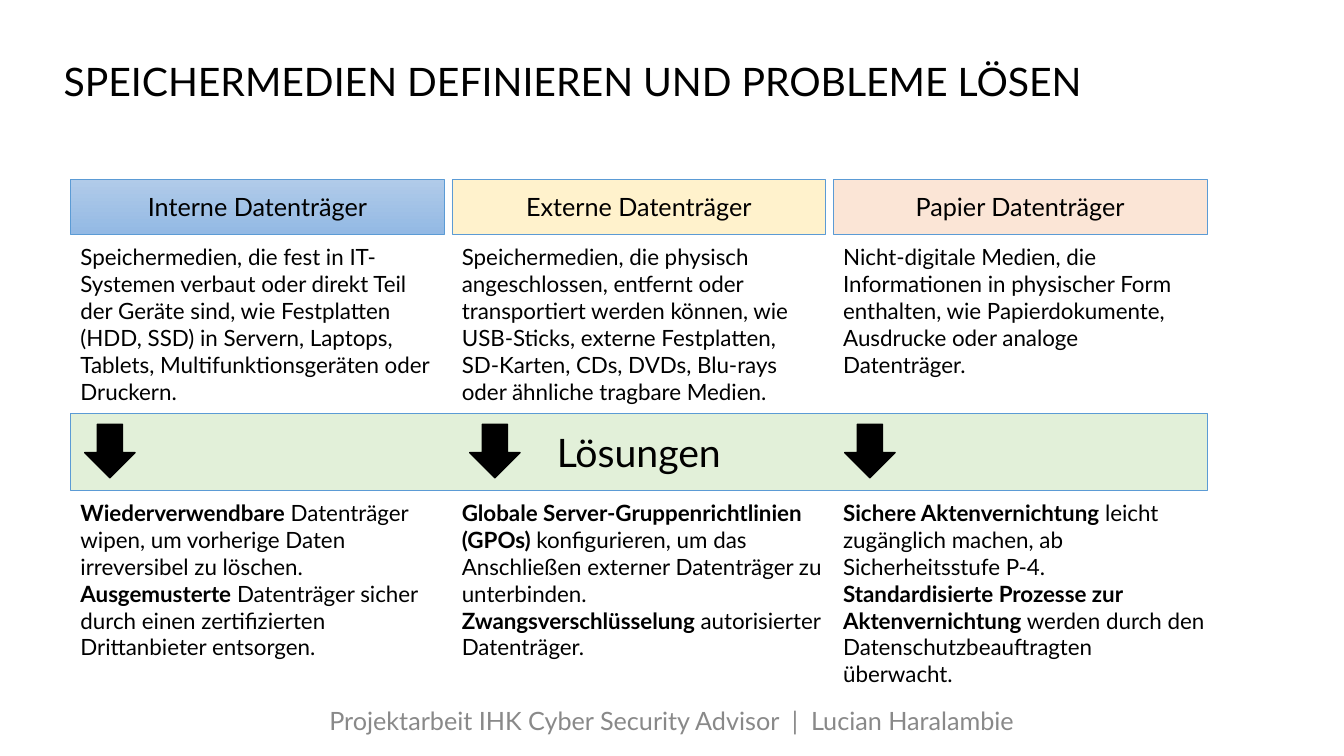
from pptx import Presentation
from pptx.dml.color import RGBColor
from pptx.enum import shapes, text
from pptx.util import Pt

TITLE = "SPEICHERMEDIEN DEFINIEREN UND PROBLEME LÖSEN"
BAND = "Lösungen"
FOOTER = "Projektarbeit IHK Cyber Security Advisor  |  Lucian Haralambie"
COLUMNS = [
    {
        "heading": "Interne Datenträger",
        "fill": ["B1CBE9", "93B9E4"],
        "definition": "Speichermedien, die fest in IT-Systemen verbaut oder direkt Teil "
        "der Geräte sind, wie Festplatten (HDD, SSD) in Servern, Laptops, Tablets, "
        "Multifunktionsgeräten oder Druckern.",
        "solutions": [
            ("Wiederverwendbare", " Datenträger wipen, um vorherige Daten irreversibel zu löschen."),
            ("Ausgemusterte", " Datenträger sicher durch einen zertifizierten Drittanbieter entsorgen."),
        ],
        "arrow_left": 60.5,
    },
    {
        "heading": "Externe Datenträger",
        "fill": ["FFF2CC"],
        "definition": "Speichermedien, die physisch angeschlossen, entfernt oder "
        "transportiert werden können, wie USB-Sticks, externe Festplatten, SD-Karten, "
        "CDs, DVDs, Blu-rays oder ähnliche tragbare Medien.",
        "solutions": [
            ("Globale Server-Gruppenrichtlinien (GPOs) ",
             "konfigurieren, um das Anschließen externer Datenträger zu unterbinden."),
            ("Zwangsverschlüsselung ", "autorisierter Datenträger."),
        ],
        "arrow_left": 335.5,
    },
    {
        "heading": "Papier Datenträger",
        "fill": ["FBE5D6"],
        "definition": "Nicht-digitale Medien, die Informationen in physischer Form "
        "enthalten, wie Papierdokumente, Ausdrucke oder analoge Datenträger.",
        "solutions": [
            ("Sichere Aktenvernichtung", " leicht zugänglich machen, ab Sicherheitsstufe P-4."),
            ("Standardisierte Prozesse zur Aktenvernichtung",
             " werden durch den Datenschutzbeauftragten überwacht."),
        ],
        "arrow_left": 603.4,
    },
]
THEME = {
    "font": "Lato", "ink": "000000", "muted": "898989", "outline": "5B9BD5", "band": "E2F0D9",
    "title": 28, "heading": 18, "body": 16,
}
LEFT, PITCH, WIDTH, SOLUTION_WIDTH = 50.4, 272.4, 267, 273.5


def write(box, paragraphs, size=THEME["body"], color=THEME["ink"],
          align=text.PP_ALIGN.LEFT, anchor=text.MSO_ANCHOR.TOP, spacing=1.0):
    frame = box.text_frame
    frame.word_wrap = True
    frame.vertical_anchor = anchor
    for index, spans in enumerate(paragraphs):
        para = frame.add_paragraph() if index else frame.paragraphs[0]
        para.alignment = align
        para.line_spacing = spacing
        for words, bold in spans:
            span = para.add_run()
            span.text = words
            span.font.name = THEME["font"]
            span.font.size = Pt(size)
            span.font.bold = bold
            span.font.color.rgb = RGBColor.from_string(color)


def add_text(page, bounds, paragraphs, **style):
    write(page.shapes.add_textbox(*map(Pt, bounds)), paragraphs, **style)


def add_block(page, kind, bounds, fill, outline=THEME["outline"], weight=0.5):
    block = page.shapes.add_shape(kind, *map(Pt, bounds))
    block.shadow.inherit = False
    block.line.color.rgb = RGBColor.from_string(outline)
    block.line.width = Pt(weight)
    if len(fill) == 1:
        block.fill.solid()
        block.fill.fore_color.rgb = RGBColor.from_string(fill[0])
    else:
        block.fill.gradient()
        block.fill.gradient_angle = 270
        for stop, color in zip(block.fill.gradient_stops, fill):
            stop.color.rgb = RGBColor.from_string(color)
    return block


def main():
    deck = Presentation()
    deck.slide_width, deck.slide_height = Pt(960), Pt(540)
    page = deck.slides.add_slide(deck.slide_layouts[5])
    rectangle = shapes.MSO_SHAPE.RECTANGLE
    centred = {"align": text.PP_ALIGN.CENTER, "anchor": text.MSO_ANCHOR.MIDDLE}

    title = page.shapes.title
    title.left, title.top, title.width, title.height = map(Pt, (38.2, 25.2, 778.3, 69.1))
    write(title, [[(TITLE, False)]], size=THEME["title"],
          anchor=text.MSO_ANCHOR.MIDDLE, spacing=0.9)
    add_text(page, (219.6, 500.4, 520.6, 28.8), [[(FOOTER, False)]],
             size=THEME["heading"], color=THEME["muted"], align=text.PP_ALIGN.CENTER)

    band_width = 2 * PITCH + WIDTH
    band = add_block(page, rectangle, (LEFT, 295.2, band_width, 55), [THEME["band"]])
    write(band, [[(BAND, False)]], size=THEME["title"], **centred)

    for index, column in enumerate(COLUMNS):
        left = LEFT + index * PITCH
        heading = add_block(page, rectangle, (left, 128.2, WIDTH, 38.9), column["fill"])
        write(heading, [[(column["heading"], False)]], size=THEME["heading"], **centred)
        add_text(page, (left, 170.4, WIDTH, 123.8), [[(column["definition"], False)]])
        add_text(page, (left, 353, SOLUTION_WIDTH, 123.8),
                 [[(lead, True), (rest, False)] for lead, rest in column["solutions"]])
        add_block(page, shapes.MSO_SHAPE.DOWN_ARROW, (column["arrow_left"], 303.1, 36, 38.2),
                  [THEME["ink"]], outline=THEME["ink"], weight=1)

    deck.save("out.pptx")


if __name__ == "__main__":
    main()
